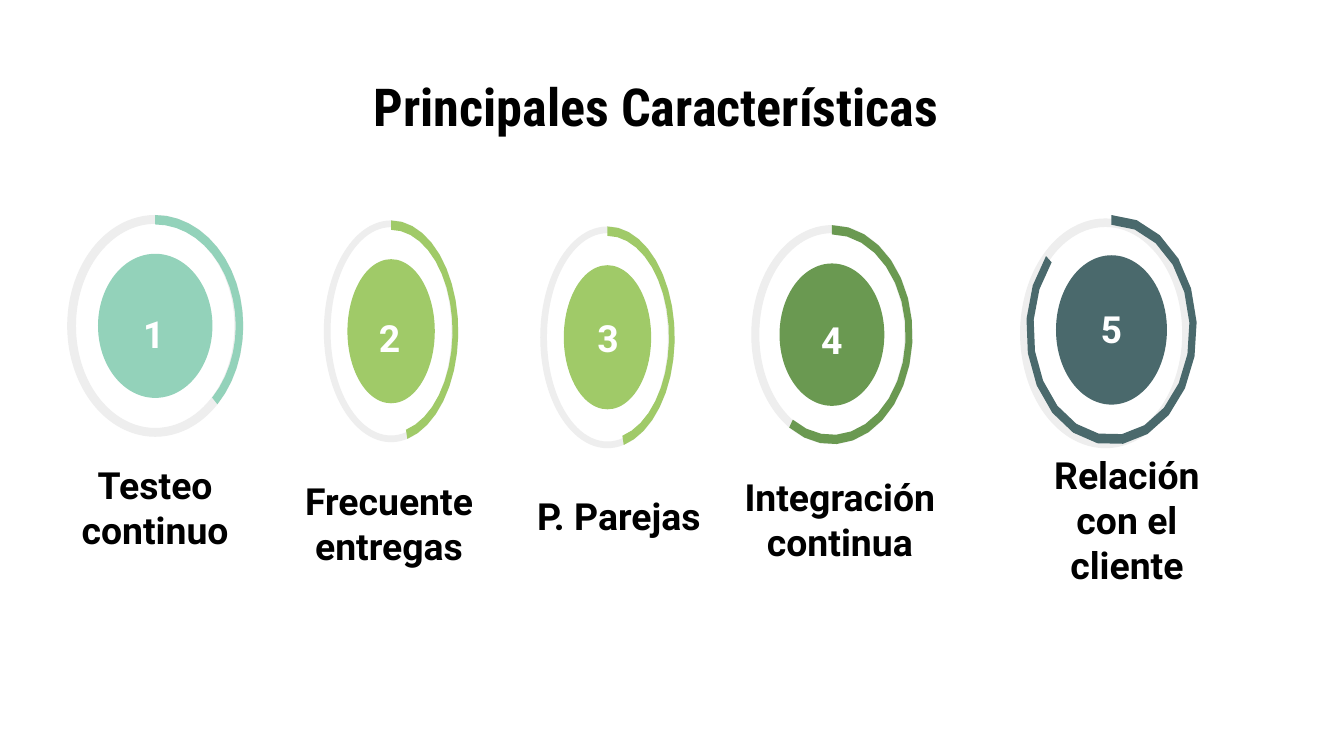
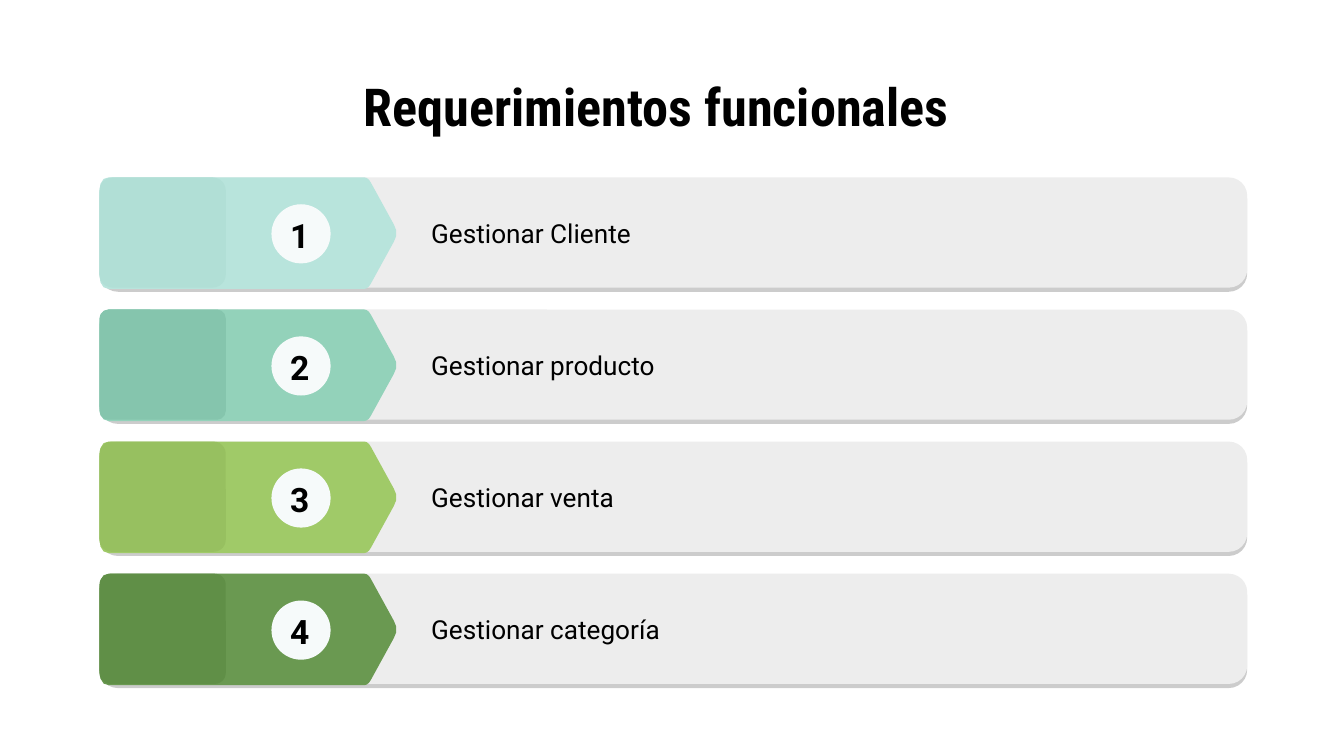
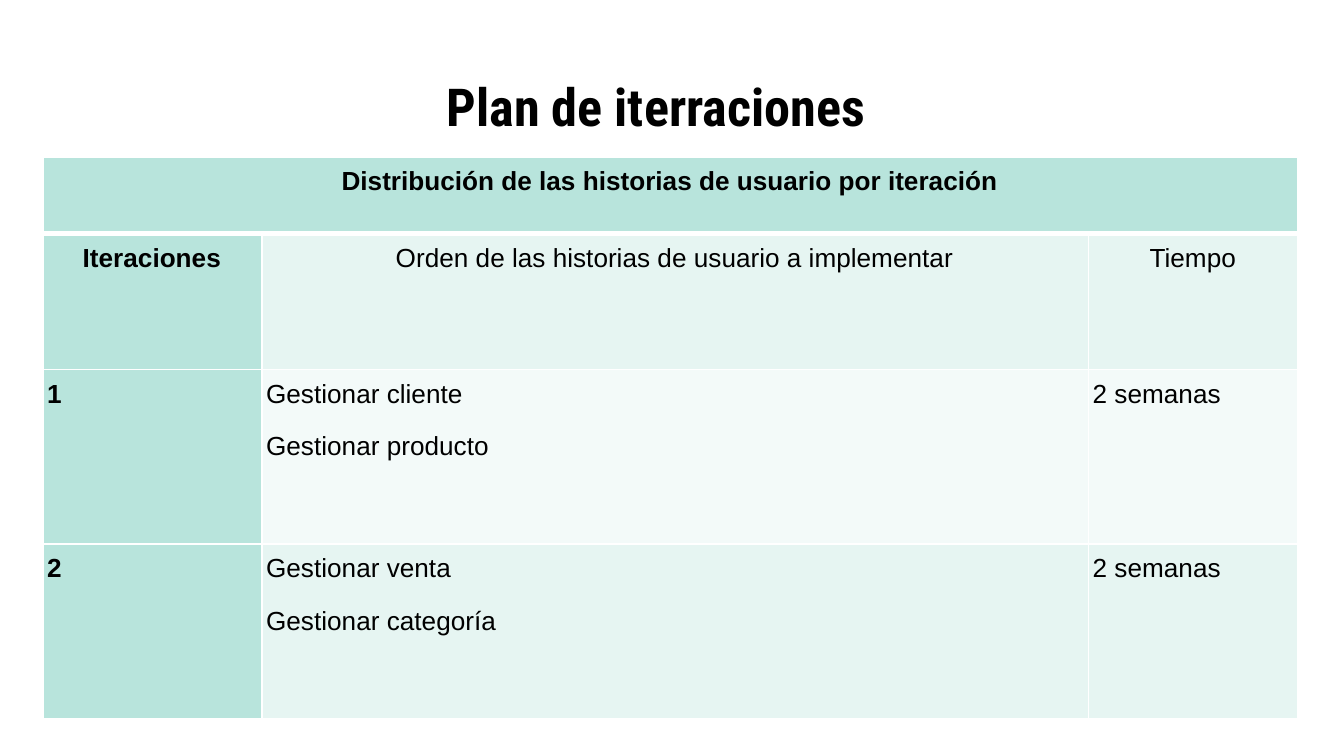
"""Build three slides on a software method: traits, needs and plan."""
from math import cos, radians, sin

from lxml.etree import SubElement
from pptx import Presentation
from pptx.dml.color import RGBColor
from pptx.enum.shapes import MSO_SHAPE
from pptx.enum.text import MSO_ANCHOR, PP_ALIGN
from pptx.oxml.ns import qn
from pptx.util import Inches, Pt

BLACK = RGBColor(0x00, 0x00, 0x00)
WHITE = RGBColor(0xFF, 0xFF, 0xFF)
TRACK = RGBColor(0xEE, 0xEE, 0xEE)
BAND = RGBColor(0xED, 0xED, 0xED)
BADGE = RGBColor(0xF6, 0xFA, 0xFA)
MINT = RGBColor(0xB8, 0xE4, 0xDC)
MINT_DIM = RGBColor(0xB1, 0xDF, 0xD6)
MINT_PALE = RGBColor(0xE6, 0xF5, 0xF2)
MINT_FAINT = RGBColor(0xF3, 0xFA, 0xF9)
TEAL = RGBColor(0x93, 0xD2, 0xBA)
TEAL_DIM = RGBColor(0x85, 0xC5, 0xAD)
LIME = RGBColor(0xA0, 0xCA, 0x68)
LIME_DIM = RGBColor(0x97, 0xC0, 0x60)
GREEN = RGBColor(0x6A, 0x99, 0x51)
GREEN_DIM = RGBColor(0x60, 0x8F, 0x47)
SLATE = RGBColor(0x4A, 0x69, 0x6C)
BODY = "Roboto"
HEAD = "Roboto Condensed"
LEFT, MID = PP_ALIGN.LEFT, PP_ALIGN.CENTER

deck = Presentation()
deck.slide_width, deck.slide_height = Inches(10), Inches(5.625)
U = deck.slide_width // 100


def paint(shape, color):
    """Give a shape a flat fill with no line or shadow."""
    shape.fill.solid()
    shape.fill.fore_color.rgb = color
    shape.line.fill.background()
    shape.shadow.inherit = False


def write(frame, lines, size, bold=True, align=MID, color=BLACK, face=BODY,
          anchor=MSO_ANCHOR.MIDDLE, gap=0, lead=1.0):
    """Fill a text frame with one run per line."""
    frame.word_wrap = True
    frame.vertical_anchor = anchor
    for i, line in enumerate(lines):
        para = frame.add_paragraph() if i else frame.paragraphs[0]
        para.alignment, para.line_spacing = align, lead
        para.space_before, para.space_after = Pt(0), Pt(gap)
        run = para.add_run()
        run.text = line
        font = run.font
        font.name, font.size, font.bold = face, Pt(size), bold
        font.color.rgb = color


slides = []
for name in ("Principales Características", "Requerimientos funcionales",
             "Plan de iterraciones"):
    slide = deck.slides.add_slide(deck.slide_layouts[5])
    title = slide.shapes.title
    title.left, title.top, title.width, title.height = (
        5 * U, int(4.5 * U), int(87.6 * U), int(5.2 * U))
    frame = title.text_frame
    frame.margin_top = frame.margin_bottom = U
    write(frame, [name], 28, face=HEAD, anchor=MSO_ANCHOR.TOP)
    slides.append(slide.shapes)
traits, needs, plan = slides

dials = [
    ("Testeo continuo", TEAL, 11.55, 24.25, 13.1, 16.5, 135, 0, 0,
     (11.45, 24.85), (11.55, 37.75)),
    ("Frecuente entregas", LIME, 29.1, 24.65, 10, 16.5, 166, 0, 0,
     (29, 25.1), (28.95, 38.95)),
    ("P. Parejas", LIME, 45.2, 25.1, 10, 16.5, 166, 0, 0,
     (45.25, 25.1), (46.05, 38.35)),
    ("Integración continua", GREEN, 61.9, 24.9, 12, 16.3, 212, 0, 0,
     (61.9, 25.3), (62.5, 38.65)),
    ("Relación con el cliente", SLATE, 82.7, 24.55, 12.7, 17.1, 310, -0.45, 0.25,
     (82.7, 24.45), (83.85, 38.65)),
]
for n, (name, color, x, y, w, h, sweep, dx, dy, num, tag) in enumerate(dials, 1):
    for kind, cx, cy, part, tint in ((MSO_SHAPE.OVAL, x, y, 0.65, color),
                                     (MSO_SHAPE.DONUT, x + dx, y + dy, 1, TRACK)):
        ring = traits.add_shape(
            kind, int((cx - w * part / 2) * U), int((cy - h * part / 2) * U),
            int(w * part * U), int(h * part * U))
        paint(ring, tint)
    ring.adjustments[0] = 0.05

    steps = [radians(sweep * i / 18) for i in range(19)]
    edge = [(1, a) for a in steps] + [(0.915, a) for a in reversed(steps)]
    dots = [((x + k * w / 2 * sin(a)) * U, (y - k * h / 2 * cos(a)) * U)
            for k, a in edge]
    pen = traits.build_freeform(*dots[0])
    pen.add_line_segments(dots[1:])
    paint(pen.convert_to_shape(), color)

    for (cx, cy), wide, text, ink in ((num, 9, str(n), WHITE),
                                      (tag, 17 if n == 4 else 15.9, name, BLACK)):
        box = traits.add_textbox(int((cx - wide / 2) * U), int((cy - 2) * U),
                                 int(wide * U), 4 * U)
        write(box.text_frame, [text], 20, color=ink, gap=2)

bends = [((0, 1.1), (0, 0), (0.7, 0)),
         ((19.7, 0), (20, 0), (20.2, 0.4)),
         ((21.9, 3.5), (22.3, 4.15), (21.9, 4.8)),
         ((20.2, 7.9), (20, 8.3), (19.7, 8.3)),
         ((0.7, 8.3), (0, 8.3), (0, 7.2))]
rows = [("Gestionar Cliente", MINT, MINT_DIM, 0.12),
        ("Gestionar producto", TEAL, TEAL_DIM, 0.08),
        ("Gestionar venta", LIME, LIME_DIM, 0.11),
        ("Gestionar categoría", GREEN, GREEN_DIM, 0.1)]
for n, (name, color, dim, bend) in enumerate(rows):
    x, y = 7.4, 13.2 + 9.83 * n
    left, top = int(x * U), int(y * U)
    band = needs.add_shape(MSO_SHAPE.ROUNDED_RECTANGLE, left, top,
                           int(85.4 * U), int(8.2 * U))
    band.adjustments[0] = 0.167
    paint(band, BAND)
    glow = SubElement(band.element.spPr.find(qn("a:effectLst")), qn("a:outerShdw"),
                      dist=str(Pt(2.2)), dir="5400000", algn="bl", rotWithShape="0")
    shade = SubElement(glow, qn("a:srgbClr"), val=str(BLACK))
    SubElement(shade, qn("a:alpha"), val="20000")

    dots = []
    for start, peak, end in bends:
        for t in (0, 0.33, 0.67, 1):
            px, py = ((1 - t) ** 2 * a + 2 * t * (1 - t) * b + t * t * c
                      for a, b, c in zip(start, peak, end))
            dots.append(((x + px) * U, (y + py) * U))
    pen = needs.build_freeform(*dots[0])
    pen.add_line_segments(dots[1:])
    paint(pen.convert_to_shape(), color)

    block = needs.add_shape(MSO_SHAPE.ROUNDED_RECTANGLE, left, top,
                            int(9.4 * U), int(8.2 * U))
    block.adjustments[0] = bend
    paint(block, dim)
    badge = needs.add_shape(MSO_SHAPE.OVAL, int(20.2 * U), int((y + 2) * U),
                            int(4.4 * U), int(4.4 * U))
    paint(badge, BADGE)
    box = needs.add_textbox(int(20.4 * U), int((y + 2.9) * U),
                            int(3.8 * U), int(2.8 * U))
    write(box.text_frame, [str(n + 1)], 18)
    box = needs.add_textbox(int(31.1 * U), int((y + 1) * U),
                            int(61.7 * U), int(6.3 * U))
    write(box.text_frame, [name], 14, bold=False, align=LEFT)

cells = [
    [["Distribución de las historias de usuario por iteración"], [], []],
    [["Iteraciones"], ["Orden de las historias de usuario a implementar"], ["Tiempo"]],
    [["1"], ["Gestionar cliente", "Gestionar producto"], ["2 semanas"]],
    [["2"], ["Gestionar venta", "Gestionar categoría"], ["2 semanas"]],
]
fills = [MINT, MINT_PALE, MINT_FAINT, MINT_PALE]
grid = plan.add_table(4, 3, int(3.2 * U), int(11.7 * U),
                      int(93.4 * U), int(41.8 * U)).table
grid.first_row = grid.horz_banding = False
for col, wide in zip(grid.columns, (16.3, 61.5, 15.6)):
    col.width = int(wide * U)
for row, tall in zip(grid.rows, (5.7, 10.1, 13, 13)):
    row.height = int(tall * U)
grid.cell(0, 0).merge(grid.cell(0, 2))
for r, line in enumerate(cells):
    for c, text in enumerate(line):
        cell = grid.cell(r, c)
        cell.margin_left = int(0.3 * U)
        cell.margin_top = cell.margin_right = cell.margin_bottom = int(0.4 * U)
        for side in ("L", "R", "T", "B"):
            thick = (r, side) in ((0, "B"), (1, "T"))
            rule = SubElement(cell._tc.get_or_add_tcPr(), qn("a:ln" + side),
                              w=str(Pt(3 if thick else 1)))
            ink = SubElement(rule, qn("a:solidFill"))
            SubElement(ink, qn("a:srgbClr"), val=str(WHITE))
        cell.fill.solid()
        cell.fill.fore_color.rgb = fills[r] if c else MINT
        write(cell.text_frame, text, 14, bold=c == 0, align=MID if r < 2 else LEFT,
              face="Arial", anchor=MSO_ANCHOR.TOP, gap=10, lead=1.15)

deck.save("out.pptx")
